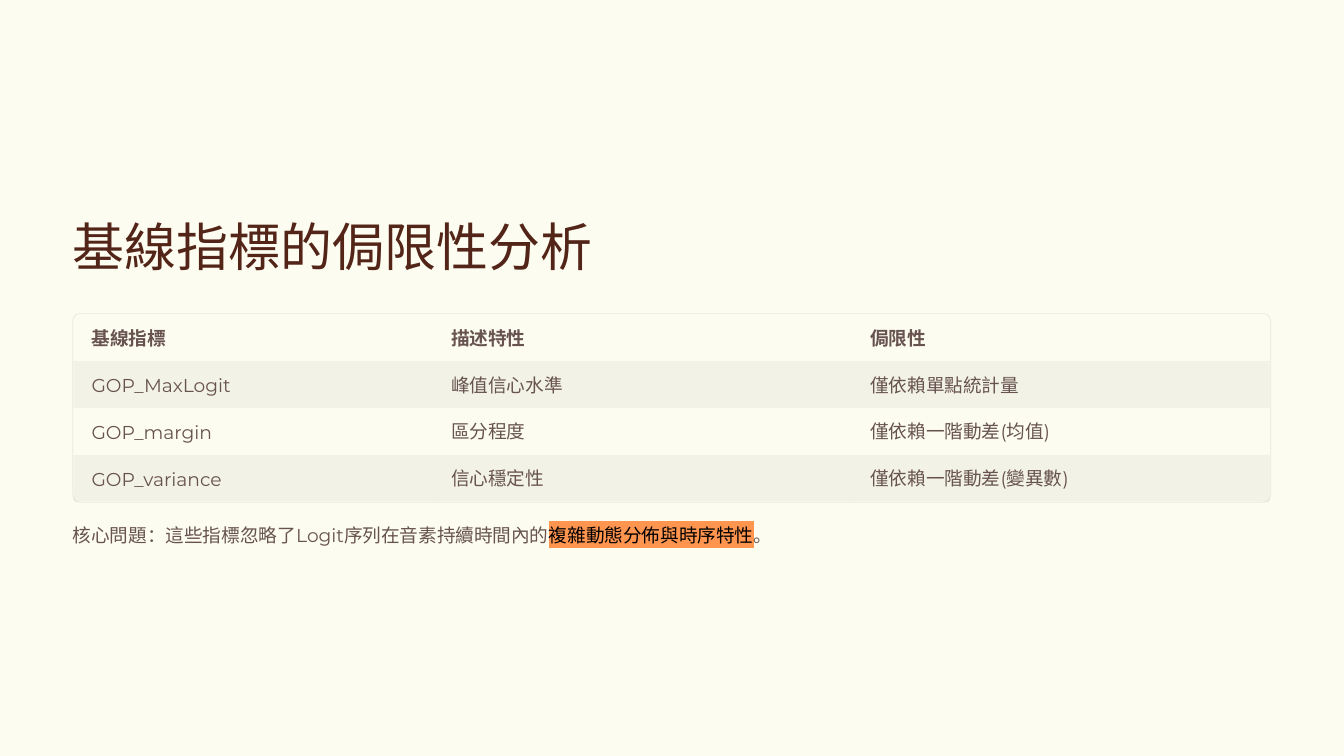
from lxml.etree import SubElement
from pptx import Presentation
from pptx.dml.color import RGBColor
from pptx.enum.shapes import MSO_SHAPE
from pptx.enum.text import MSO_ANCHOR, MSO_AUTO_SIZE, PP_ALIGN
from pptx.oxml import parse_xml
from pptx.oxml.ns import nsdecls, qn
from pptx.util import Pt

COLORS = {
    "base": "DEC8AB",
    "veil": "FFFFF4",
    "title": "532418",
    "text": "67534F",
    "plain row": "FFFFFF",
    "stripe": "000000",
    "outline": "000000",
    "marked": "000000",
    "highlight": "FF954F",
}
ROWS = [
    ("基線指標", "描述特性", "侷限性"),
    ("GOP_MaxLogit", "峰值信心水準", "僅依賴單點統計量"),
    ("GOP_margin", "區分程度", "僅依賴一階動差(均值)"),
    ("GOP_variance", "信心穩定性", "僅依賴一階動差(變異數)"),
]
COLUMN_WIDTHS = (308.2, 359.3, 358.1)
NOTE = ("核心問題：這些指標忽略了Logit序列在音素持續時間內的",
        "複雜動態分佈與時序特性", "。")


def color(name):
    return RGBColor.from_string(COLORS[name])


def paint(fill, name, opacity=100):
    fill.solid()
    fill.fore_color.rgb = color(name)
    if opacity < 100:
        clr = fill._xPr.find(qn("a:solidFill"))[0]
        SubElement(clr, qn("a:alpha"), val=str(opacity * 1000))


def style_run(r, name="text", size=16, font="Montserrat", bold=False):
    r.font.size = Pt(size)
    r.font.name = font
    r.font.bold = bold
    r.font.color.rgb = color(name)


def prepare_frame(tf):
    tf.margin_left = tf.margin_top = tf.margin_right = tf.margin_bottom = 0
    tf.auto_size = MSO_AUTO_SIZE.NONE
    tf.vertical_anchor = MSO_ANCHOR.TOP
    tf.word_wrap = False


def add_backdrop(s, x, y, w, h):
    # Warm base under a light veil, both behind the title
    for i, (name, opacity) in enumerate((("base", 100), ("veil", 95))):
        sp = s.shapes.add_shape(MSO_SHAPE.RECTANGLE, Pt(x), Pt(y), Pt(w), Pt(h))
        sp.shadow.inherit = False
        sp.line.fill.background()
        paint(sp.fill, name, opacity)
        s.shapes._spTree.insert(2 + i, sp._element)


def add_title(s, x, y, w, h):
    sp = s.shapes.title
    sp.left, sp.top, sp.width, sp.height = Pt(x), Pt(y), Pt(w), Pt(h)
    tf = sp.text_frame
    prepare_frame(tf)
    p = tf.paragraphs[0]
    p.text = "基線指標的侷限性分析"
    p.alignment = PP_ALIGN.LEFT
    p.line_spacing = Pt(58)
    style_run(p.runs[0], "title", 44.5, "Calibri")


def fill_cell(cell, text, row):
    cell.margin_left = cell.margin_right = Pt(15.5)
    cell.margin_top, cell.margin_bottom = Pt(11.2), Pt(8.5)
    cell.vertical_anchor = MSO_ANCHOR.TOP
    # No cell borders
    tc_pr = cell._tc.get_or_add_tcPr()
    for side in ("lnL", "lnR", "lnT", "lnB"):
        SubElement(SubElement(tc_pr, qn(f"a:{side}"), w="0"), qn("a:noFill"))
    paint(cell.fill, "stripe" if row % 2 else "plain row", 4)
    p = cell.text_frame.paragraphs[0]
    p.text = text
    p.line_spacing = Pt(20)
    style_run(p.runs[0], bold=row == 0)


def add_metrics_table(s, x, y, w, h):
    # Rounded outline
    sp = s.shapes.add_shape(MSO_SHAPE.ROUNDED_RECTANGLE, Pt(x), Pt(y), Pt(w), Pt(h))
    sp.adjustments[0] = 0.04
    sp.shadow.inherit = False
    sp.fill.background()
    sp.line.width = Pt(0.6)
    paint(sp.line.fill, "outline", 8)
    # Table, just inside the outline
    inset = 0.6
    inner_h = h - 2 * inset
    frame = s.shapes.add_table(len(ROWS), len(COLUMN_WIDTHS), Pt(x + inset),
                               Pt(y + inset), Pt(w - 2 * inset), Pt(inner_h))
    table = frame.table
    table.first_row = table.horz_banding = False
    for column, width in zip(table.columns, COLUMN_WIDTHS):
        column.width = Pt(width)
    for i, texts in enumerate(ROWS):
        table.rows[i].height = Pt(inner_h / len(ROWS))
        for j, text in enumerate(texts):
            fill_cell(table.cell(i, j), text, i)


def add_note(s, x, y, w, h):
    tf = s.shapes.add_textbox(Pt(x), Pt(y), Pt(w), Pt(h)).text_frame
    prepare_frame(tf)
    p = tf.paragraphs[0]
    p.line_spacing = Pt(20)
    for text in NOTE:
        r = p.add_run()
        r.text = text
        style_run(r)
    # Highlighted key phrase
    r = p.runs[1]
    r.font.color.rgb = color("marked")
    r._r.rPr.find(qn("a:solidFill")).addnext(parse_xml(
        f'<a:highlight {nsdecls("a")}><a:srgbClr val="{COLORS["highlight"]}"/></a:highlight>'))


def main():
    prs = Presentation()
    slide_w, slide_h = 1152, 648
    prs.slide_width, prs.slide_height = Pt(slide_w), Pt(slide_h)
    s = prs.slides.add_slide(prs.slide_layouts[5])
    left, width = 62.4, 1026.8
    add_backdrop(s, 0, 0, slide_w, slide_h)
    add_title(s, left, 179.3, 449.3, 58.3)
    add_metrics_table(s, left, 268.6, width, 162)
    add_note(s, left, 448.6, width, 20)
    prs.save("out.pptx")


if __name__ == "__main__":
    main()
